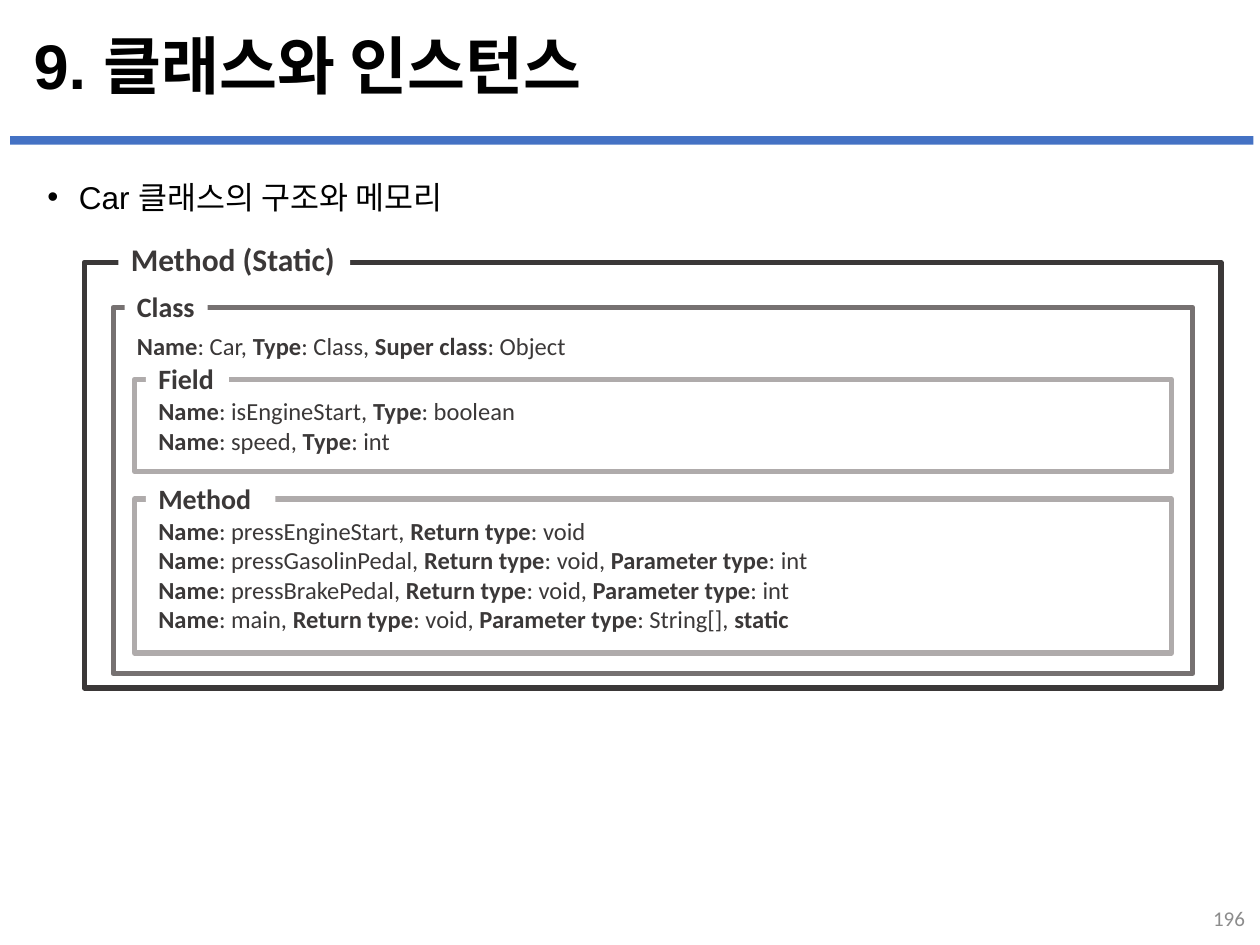
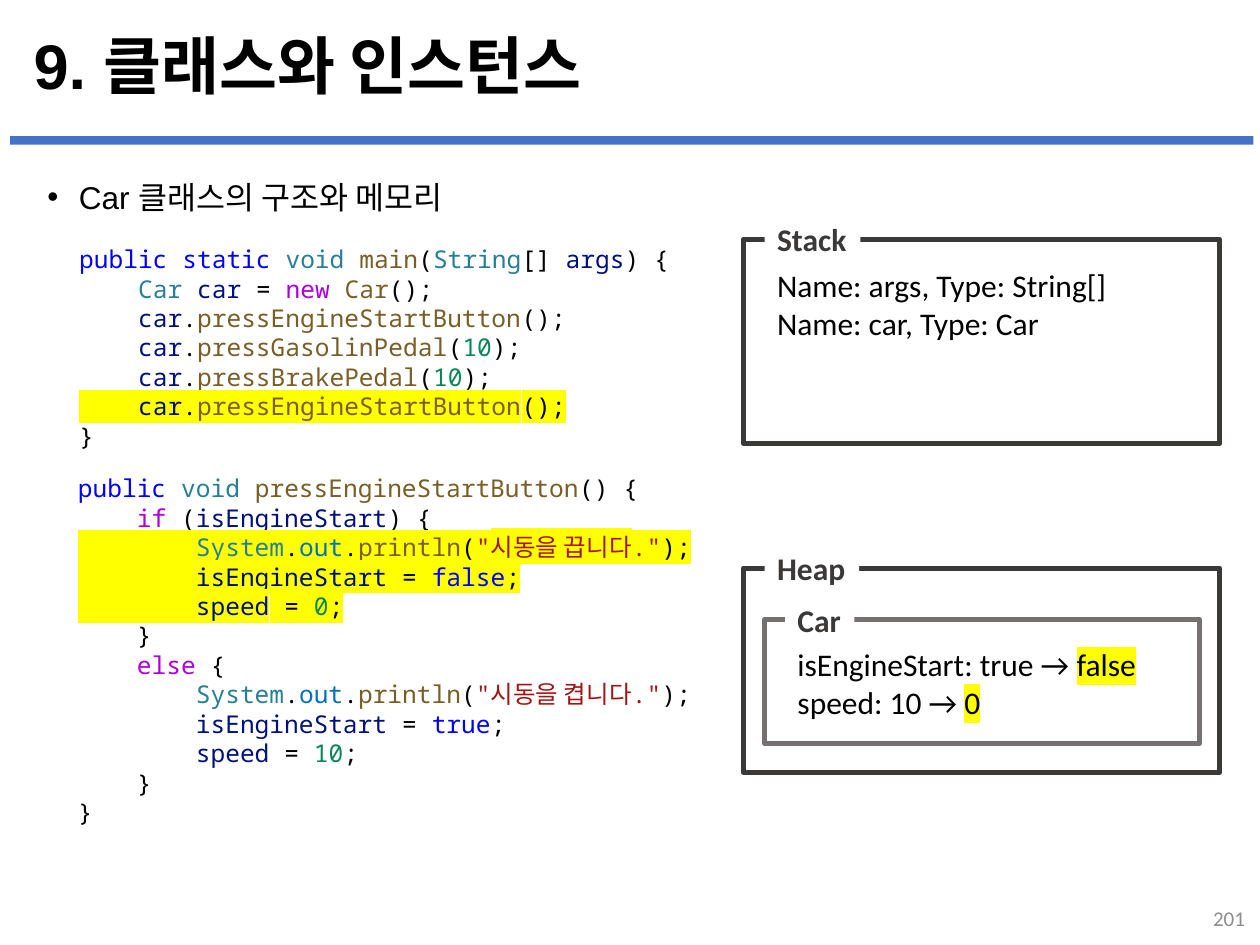
import itertools

import lxml.etree
import pptx
import pptx.dml.color
import pptx.enum.shapes
import pptx.enum.text
import pptx.oxml.ns
import pptx.util

Pt = pptx.util.Pt
ANCHOR = pptx.enum.text.MSO_ANCHOR
ALIGN = pptx.enum.text.PP_ALIGN

COLORS = {
    "band": "4472C4", "text": "000000", "number": "8C8C8C", "paper": "FFFFFF",
    "outer": "3B3838", "middle": "767171", "inner": "AFABAB", "marker": "FFFF00",
    "keyword": "0000FF", "type": "267F99", "method": "795E26", "variable": "001080",
    "control": "AF00DB", "digit": "098658", "constant": "0070C1", "string": "A31515",
}
WORD_KINDS = {
    "keyword": "public static true false",
    "control": "new if else",
    "type": "void String System Car",
    "variable": "args car isEngineStart speed",
    "constant": "out",
}
KIND_OF = {word: kind for kind, words in WORD_KINDS.items() for word in words.split()}

TITLE = "9. 클래스와 인스턴스"
TOPIC = "Car 클래스의 구조와 메모리"

# Text between asterisks is emphasised
CLASS_LINES = ["*Name*: Car, *Type*: Class, *Super class*: Object"]
FIELD_LINES = [
    "*Name*: isEngineStart, *Type*: boolean",
    "*Name*: speed, *Type*: int",
]
METHOD_LINES = [
    "*Name*: pressEngineStart, *Return type*: void",
    "*Name*: pressGasolinPedal, *Return type*: void, *Parameter type*: int",
    "*Name*: pressBrakePedal, *Return type*: void, *Parameter type*: int",
    "*Name*: main, *Return type*: void, *Parameter type*: String[], *static*",
]
STACK_LINES = ["Name: args, Type: String[]", "Name: car, Type: Car"]
CAR_LINES = ["isEngineStart: true → *false*", "speed: 10 → *0*"]

MAIN_CODE = """public static void main(String[] args) {
    Car car = new Car();
    car.pressEngineStartButton();
    car.pressGasolinPedal(10);
    car.pressBrakePedal(10);
    car.pressEngineStartButton();
}"""
BUTTON_CODE = """public void pressEngineStartButton() {
    if (isEngineStart) {
        System.out.println("시동을 끕니다.");
        isEngineStart = false;
        speed = 0;
    }
    else {
        System.out.println("시동을 켭니다.");
        isEngineStart = true;
        speed = 10;
    }
}"""


def color(name):
    return pptx.dml.color.RGBColor.from_string(COLORS[name])


def inside(box, left, top, width, height):
    return box[0] + left, box[1] + top, width, height


def add_rectangle(page, box, fill=None, line=None):
    shape = page.shapes.add_shape(
        pptx.enum.shapes.MSO_SHAPE.RECTANGLE, *map(Pt, box))
    shape.shadow.inherit = False
    if fill:
        shape.fill.solid()
        shape.fill.fore_color.rgb = color(fill)
    else:
        shape.fill.background()
    if line:
        shape.line.color.rgb = color(line)
        shape.line.width = Pt(3)
    else:
        shape.line.fill.background()
    return shape


def add_text_box(page, box):
    text = page.shapes.add_textbox(*map(Pt, box)).text_frame
    text.word_wrap = True
    return text


def add_paragraphs(text, count):
    return [text.paragraphs[0]] + [text.add_paragraph() for _ in range(count - 1)]


def style(para, size, ink="text", name="Calibri", bold=False):
    para.font.size = Pt(size)
    para.font.name = name
    para.font.bold = bold
    para.font.color.rgb = color(ink)


def embolden(span):
    span.font.bold = True


def highlight(span):
    properties = span.font._element
    marker = lxml.etree.SubElement(properties, pptx.oxml.ns.qn("a:highlight"))
    lxml.etree.SubElement(marker, pptx.oxml.ns.qn("a:srgbClr"), val=COLORS["marker"])


def add_lines(text, lines, size, ink, emphasise):
    for para, line in zip(add_paragraphs(text, len(lines)), lines):
        style(para, size, ink)
        for index, part in enumerate(line.split("*")):
            if part:
                span = para.add_run()
                span.text = part
                if index % 2:
                    emphasise(span)


def add_labelled_frame(page, box, line, label, label_width, indent, label_size=18, lift=0):
    add_rectangle(page, box, line=line)
    height = label_size * 1.2 + 7.2
    tag_box = inside(box, indent, -height / 2 - lift, label_width, height)
    text = add_rectangle(page, tag_box, fill="paper").text_frame
    text.word_wrap = True
    text.margin_right = 0
    text.vertical_anchor = ANCHOR.TOP
    para = text.paragraphs[0]
    para.alignment = ALIGN.LEFT
    para.text = label
    style(para, label_size, "outer", bold=True)


def split_code(line):
    """Yield each piece of a code line with the name of its colour."""
    for index, part in enumerate(line.split('"')):
        if index % 2:
            yield f'"{part}"', "string"
            continue
        pieces = ["".join(group) for _, group in itertools.groupby(part, str.isalnum)]
        for piece, following in itertools.zip_longest(pieces, pieces[1:], fillvalue=""):
            if piece.isdigit():
                yield piece, "digit"
            elif piece.isalnum() and following.startswith("("):
                yield piece, "method"
            else:
                yield piece, KIND_OF.get(piece, "text")


def add_code(page, box, code, marked_lines):
    lines = code.splitlines()
    paragraphs = add_paragraphs(add_text_box(page, box), len(lines))
    for number, (para, line) in enumerate(zip(paragraphs, lines)):
        style(para, 14, name="Noto Sans Mono")
        for piece, kind in split_code(line):
            span = para.add_run()
            span.text = piece
            span.font.color.rgb = color(kind)
            if number in marked_lines:
                highlight(span)


def add_page(deck, number):
    page = deck.slides.add_slide(deck.slide_layouts[5])
    add_rectangle(page, (5.75, 77.75, 710.5, 5), fill="band")

    # Title
    title = page.shapes.title
    title.left, title.top, title.width, title.height = map(Pt, (12, 16, 696, 47.5))
    title.text_frame.text = TITLE
    title.text_frame.vertical_anchor = ANCHOR.MIDDLE
    title.text_frame.auto_size = pptx.enum.text.MSO_AUTO_SIZE.NONE
    para = title.text_frame.paragraphs[0]
    para.alignment = ALIGN.LEFT
    para.line_spacing = 0.9
    style(para, 36, name="Arial", bold=True)

    # Bulleted topic
    para = add_text_box(page, (20, 98, 677, 36)).paragraphs[0]
    para.text = TOPIC
    properties = para._p.get_or_add_pPr()
    properties.set("marL", str(Pt(18)))
    properties.set("indent", str(Pt(-18)))
    lxml.etree.SubElement(properties, pptx.oxml.ns.qn("a:buFont"), typeface="Arial")
    lxml.etree.SubElement(properties, pptx.oxml.ns.qn("a:buChar"), char="•")
    style(para, 18, name="Arial")

    # Page number
    text = add_text_box(page, (556.5, 510.5, 162, 28.8))
    text.vertical_anchor = ANCHOR.MIDDLE
    para = text.paragraphs[0]
    para.text = str(number)
    para.alignment = ALIGN.RIGHT
    style(para, 12, "number")
    return page


def add_member_frame(page, box, label, label_width, lines):
    add_labelled_frame(page, box, "inner", label, label_width, 6.5, 16, lift=0.5)
    text = add_text_box(page, inside(box, 6.5, 6, 578, box[3] - 12))
    add_lines(text, lines, 14, "outer", embolden)


def add_method_area(page, box):
    add_labelled_frame(page, box, "outer", "Method (Static)", 132.5, 19.5, lift=2)
    class_box = inside(box, 16.5, 26, 617, 209)
    add_labelled_frame(page, class_box, "middle", "Class", 47.5, 6.5, 16, lift=0.5)
    text = add_text_box(page, inside(class_box, 6.5, 10, 592.5, 24.5))
    add_lines(text, CLASS_LINES, 14, "outer", embolden)
    add_member_frame(page, inside(class_box, 12.2, 41, 592.5, 52.5),
                     "Field", 47.5, FIELD_LINES)
    add_member_frame(page, inside(class_box, 12.2, 109.4, 592.5, 88),
                     "Method", 74, METHOD_LINES)


def add_stack(page, box):
    add_labelled_frame(page, box, "outer", "Stack", 54.7, 12.2)
    text = add_text_box(page, inside(box, 12.2, 11.5, 205, 51))
    add_lines(text, STACK_LINES, 18, "text", highlight)


def add_heap(page, box):
    add_labelled_frame(page, box, "outer", "Heap", 54, 12.2)
    car_box = inside(box, 12.2, 29.5, 248.5, 70.5)
    add_labelled_frame(page, car_box, "middle", "Car", 39.6, 11.6)
    text = add_text_box(page, inside(car_box, 11.6, 10.8, 220, 51))
    add_lines(text, CAR_LINES, 18, "text", highlight)


def main():
    deck = pptx.Presentation()
    deck.slide_width, deck.slide_height = Pt(720), Pt(540)

    # Class structure
    page = add_page(deck, 196)
    add_method_area(page, (48.2, 149.8, 649.5, 243.4))

    # Code beside the stack and the heap
    page = add_page(deck, 201)
    add_stack(page, (424.8, 136.8, 272.2, 116.6))
    add_heap(page, (424.8, 324.7, 272.2, 116.6))
    add_code(page, (38.2, 136, 369.4, 126), MAIN_CODE, {5})
    add_code(page, (37.5, 267, 416, 211), BUTTON_CODE, {2, 3, 4})

    deck.save("out.pptx")


if __name__ == "__main__":
    main()
